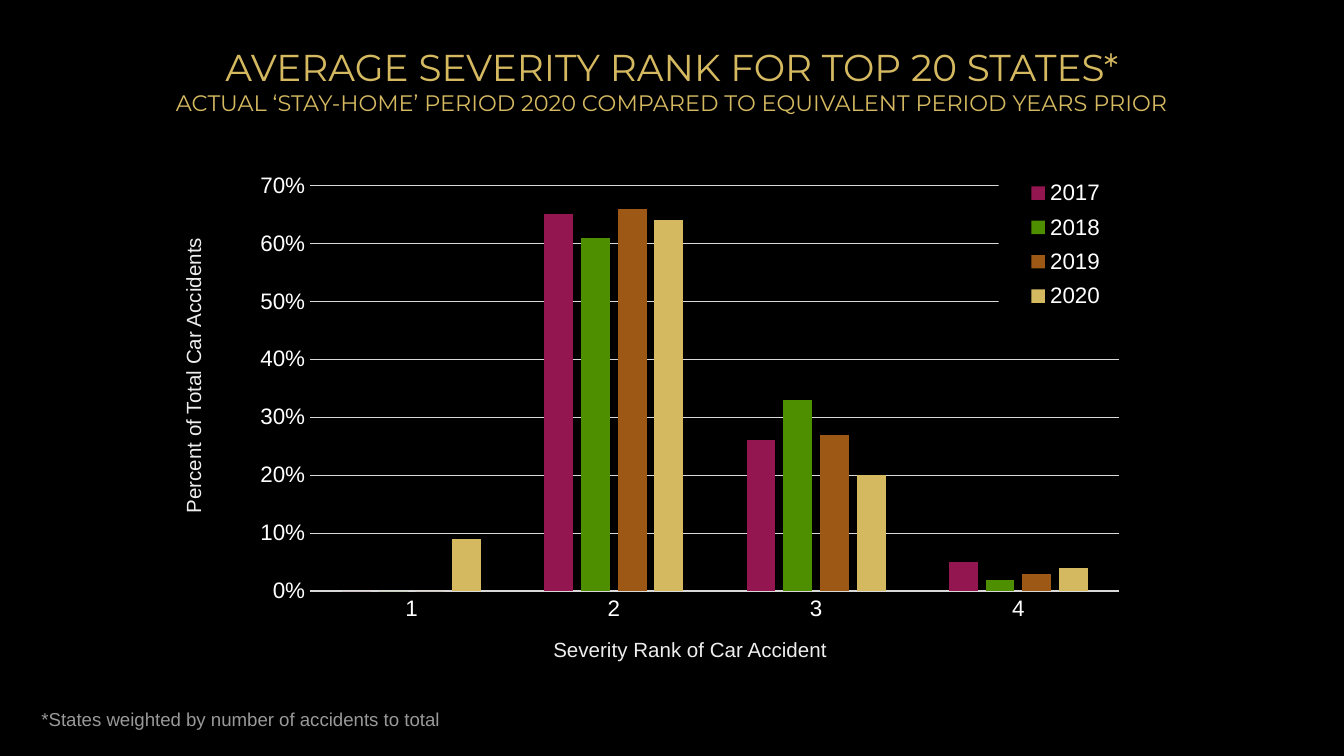
from dataclasses import dataclass

from lxml.etree import SubElement
from pptx import Presentation
from pptx.chart.data import CategoryChartData
from pptx.dml.color import RGBColor
from pptx.enum.chart import XL_CHART_TYPE, XL_LEGEND_POSITION, XL_TICK_MARK
from pptx.enum.text import MSO_ANCHOR, PP_ALIGN
from pptx.oxml import parse_xml
from pptx.oxml.ns import nsdecls, qn
from pptx.util import Inches, Pt


@dataclass(frozen=True)
class Theme:
    """Colours, fonts and type sizes of the slide."""

    background: str = "000000"
    gold: str = "D5B961"
    label: str = "EEEEEE"
    note: str = "999999"
    chart_text: str = "FFFFFF"
    grid: str = "D9D9D9"
    series: tuple = ("941651", "4E8F00", "9D5816", "D5B961")
    heading_font: str = "Montserrat"
    body_font: str = "Arial"
    title_size: int = 20
    subtitle_size: int = 12
    chart_size: int = 12
    label_size: int = 11
    note_size: int = 10


class Slide:
    """Draws styled elements on one page."""

    def __init__(self, deck, theme):
        """Add a blank page with the theme background."""
        self.theme = theme
        self.page = deck.slides.add_slide(deck.slide_layouts[6])
        self.paint(self.page.background.fill, theme.background)

    def paint(self, fill, color):
        """Fill with one solid colour."""
        fill.solid()
        fill.fore_color.rgb = RGBColor.from_string(color)

    def style(self, font, name, size, color):
        """Set the face, size and colour of a font."""
        font.name = name
        font.size = Pt(size)
        font.color.rgb = RGBColor.from_string(color)

    def line(self, line):
        """Give a chart line the grid style."""
        line.color.rgb = RGBColor.from_string(self.theme.grid)
        line.width = Pt(0.75)

    def box(self, place):
        """Add an empty wrapping text box and return its shape."""
        box = self.page.shapes.add_textbox(*map(Inches, place))
        box.text_frame.word_wrap = True
        return box

    def title(self, place, heading, subheading):
        """Add a centred heading with a smaller second line."""
        theme = self.theme
        frame = self.box(place).text_frame
        frame.vertical_anchor = MSO_ANCHOR.BOTTOM
        frame.margin_top = frame.margin_bottom = Inches(0.1)
        para = frame.paragraphs[0]
        para.alignment = PP_ALIGN.CENTER
        span = para.add_run()
        span.text = heading
        self.style(span.font, theme.heading_font, theme.title_size, theme.gold)
        para.add_line_break()
        span = para.add_run()
        span.text = subheading
        self.style(span.font, theme.heading_font, theme.subtitle_size, theme.gold)

    def text(self, place, words, size, color, align=PP_ALIGN.CENTER, rotation=0):
        """Add a one-paragraph text box."""
        box = self.box(place)
        box.rotation = rotation
        para = box.text_frame.paragraphs[0]
        para.text = words
        para.alignment = align
        self.style(para.font, self.theme.body_font, size, color)

    def arrange(self, part, frame, place, before, inner=False):
        """Fix a chart part at a place given in inches from the chart corner."""
        for old in part.findall(qn("c:layout")):
            part.remove(old)
        layout = parse_xml(f"<c:layout {nsdecls('c')}/>")
        manual = SubElement(layout, qn("c:manualLayout"))
        settings = [("layoutTarget", "inner")] if inner else []
        settings += [("xMode", "edge"), ("yMode", "edge")]
        sizes = (frame[2], frame[3]) * 2
        settings += [
            (name, round(length / size, 4))
            for name, length, size in zip("xywh", place, sizes)
        ]
        for name, value in settings:
            SubElement(manual, qn(f"c:{name}")).set("val", str(value))
        before.addprevious(layout)

    def chart(self, place, categories, values):
        """Add the clustered column chart with its axes and legend."""
        theme = self.theme
        data = CategoryChartData(number_format="0%")
        data.categories = categories
        for name, numbers in values.items():
            data.add_series(name, numbers)
        chart = self.page.shapes.add_chart(
            XL_CHART_TYPE.COLUMN_CLUSTERED, *map(Inches, place), data
        ).chart
        chart.has_title = False
        self.style(chart.font, theme.body_font, theme.chart_size, theme.chart_text)

        plot = chart.plots[0]
        plot.gap_width = 219
        plot.overlap = -27
        plot.vary_by_categories = False
        for series, color in zip(plot.series, theme.series):
            self.paint(series.format.fill, color)
            series.invert_if_negative = False

        for axis in (chart.category_axis, chart.value_axis):
            axis.major_tick_mark = axis.minor_tick_mark = XL_TICK_MARK.NONE
            self.style(axis.tick_labels.font, theme.body_font,
                       theme.chart_size, theme.chart_text)
        self.line(chart.category_axis.format.line)
        axis = chart.value_axis
        axis.minimum_scale, axis.maximum_scale, axis.major_unit = 0, 0.7, 0.1
        axis.tick_labels.number_format = "0%"
        axis.tick_labels.number_format_is_linked = False
        axis.format.line.fill.background()
        self.line(axis.major_gridlines.format.line)

        bars = plot._element
        self.arrange(bars.getparent(), place, (0.51, 0.16, 6.02, 3.02), bars, True)
        self.legend(chart, place)

    def legend(self, chart, frame):
        """Place the legend on a dark panel over the upper right corner."""
        theme = self.theme
        chart.has_legend = True
        legend = chart.legend
        legend.position = XL_LEGEND_POSITION.BOTTOM
        legend.include_in_layout = True
        self.style(legend.font, theme.body_font, theme.chart_size, theme.chart_text)
        overlay = legend._element.find(qn("c:overlay"))
        self.arrange(legend._element, frame, (5.63, 0.05, 1, 1.1), overlay)
        overlay.addnext(parse_xml(
            f"<c:spPr {nsdecls('c', 'a')}><a:solidFill>"
            f'<a:srgbClr val="{theme.background}"/></a:solidFill></c:spPr>'
        ))


def main():
    """Build and save the deck."""
    theme = Theme()
    deck = Presentation()
    deck.slide_width, deck.slide_height = Inches(10), Inches(10 * 9 / 16)
    slide = Slide(deck, theme)
    slide.title(
        (0.5, 0.4, 9, 0.56),
        "AVERAGE SEVERITY RANK FOR TOP 20 STATES*",
        "ACTUAL ‘STAY-HOME’ PERIOD 2020 COMPARED TO EQUIVALENT PERIOD YEARS PRIOR",
    )
    slide.chart((1.8, 1.22, 6.67, 3.8), ["1", "2", "3", "4"], {
        "2017": (0, 0.65, 0.26, 0.05),
        "2018": (0, 0.61, 0.33, 0.02),
        "2019": (0, 0.66, 0.27, 0.03),
        "2020": (0.09, 0.64, 0.2, 0.04),
    })
    slide.text((-0.13, 2.65, 3.14, 0.29), "Percent of Total Car Accidents",
               theme.label_size, theme.label, rotation=270)
    slide.text((3.11, 4.69, 4.05, 0.29), "Severity Rank of Car Accident",
               theme.label_size, theme.label)
    slide.text((0.21, 5.22, 4.96, 0.27),
               "*States weighted by number of accidents to total",
               theme.note_size, theme.note, PP_ALIGN.LEFT)
    deck.save("out.pptx")


if __name__ == "__main__":
    main()
